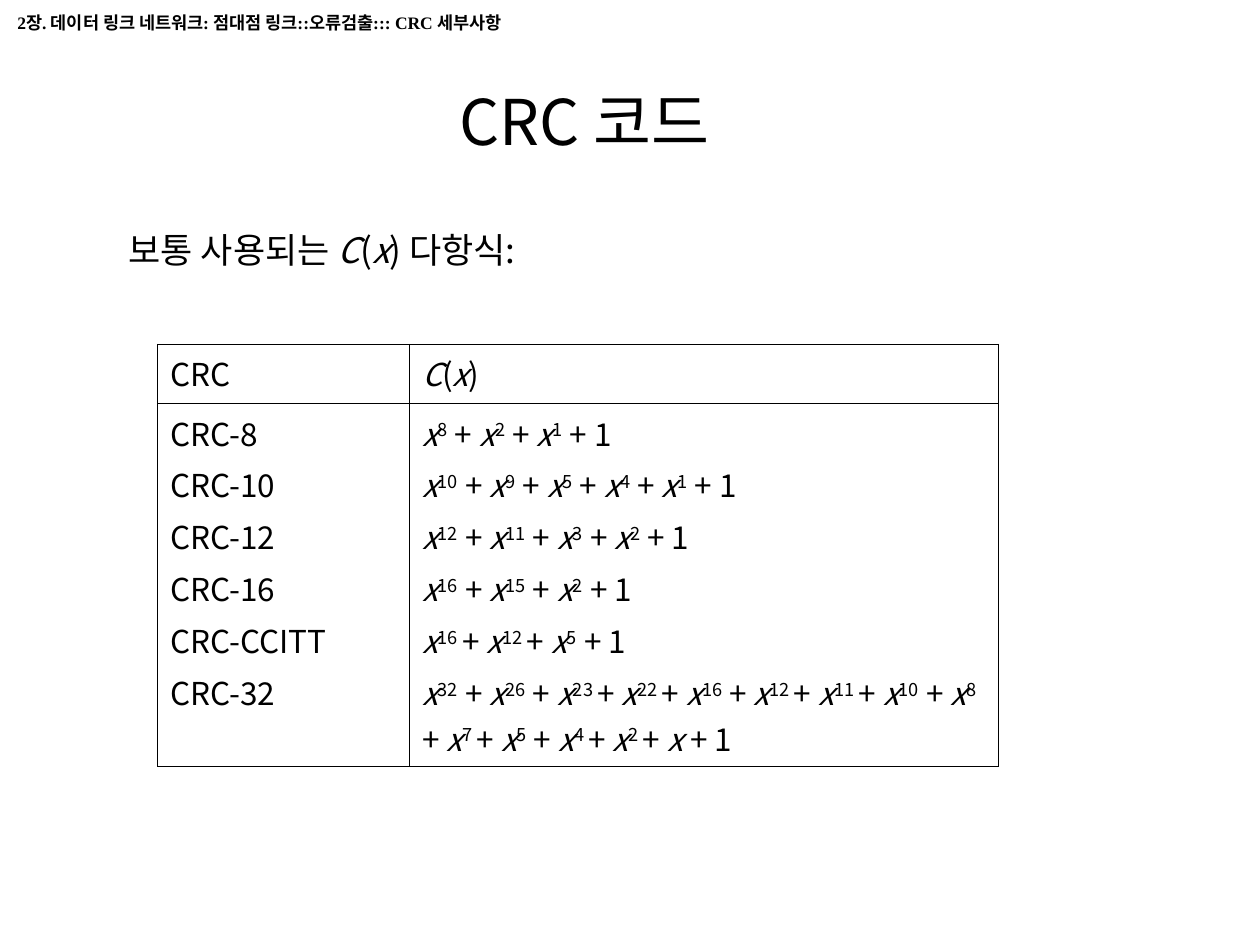
from itertools import groupby

from lxml.etree import SubElement
from pptx import Presentation
from pptx.dml.color import RGBColor
from pptx.enum.text import MSO_ANCHOR as Anchor, MSO_AUTO_SIZE as AutoSize, PP_ALIGN as Align
from pptx.oxml.ns import qn
from pptx.util import Inches, Pt

BLACK = RGBColor(0, 0, 0)
SANS = "Noto Sans CJK KR"
SERIF = "Times New Roman"
THIN, MEDIUM = Pt(0.25), Pt(1)

TITLE_FORMAT = {"size": Pt(36), "name": SANS, "bold": False}
BODY_FORMAT = {"size": Pt(20), "name": SANS}
CELL_FORMAT = {"size": Pt(18), "name": SANS, "bold": False}
HEADER_FORMAT = {"size": Pt(10), "name": SERIF, "bold": True}

# Text between a pair of ^ marks is superscript
POLYNOMIALS = {
    "CRC-8": "x^8^ + x^2^ + x^1^ + 1",
    "CRC-10": "x^10^ + x^9^ + x^5^ + x^4^ + x^1^ + 1",
    "CRC-12": "x^12^ + x^11^ + x^3^ + x^2^ + 1",
    "CRC-16": "x^16^ + x^15^ + x^2^ + 1",
    "CRC-CCITT": "x^16 ^+ x^12 ^+ x^5^ + 1",
    "CRC-32": "x^32^ + x^26^ + x^23 ^+ x^22 ^+ x^16^ + x^12 ^+ x^11 ^+ x^10^ + x^8 ^"
              "+ x^7 ^+ x^5^ + x^4 ^+ x^2 ^+ x + 1",
}


def place(shape, box):
    shape.left, shape.top, shape.width, shape.height = (Inches(n) for n in box)


def add_run(paragraph, text, formats):
    run = paragraph.add_run()
    run.text = text
    run.font.color.rgb = BLACK
    for name, value in formats.items():
        setattr(run.font, name, value)
    if formats["name"] == SANS:
        SubElement(run.font._element, qn("a:ea"), typeface=SANS)
    return run


def add_math(paragraph, text, formats):
    """Set the symbols C and x in italics and raise the exponents."""
    for index, part in enumerate(text.split("^")):
        for italic, symbols in groupby(part, lambda symbol: symbol in "Cx"):
            run = add_run(paragraph, "".join(symbols), {**formats, "italic": italic})
            if index % 2:
                run.font._element.set("baseline", "30000")


def fill_cell(cell, lines, writer):
    frame = cell.text_frame
    for index, line in enumerate(lines):
        paragraph = frame.add_paragraph() if index else frame.paragraphs[0]
        if index:
            paragraph.space_before = Pt(3.6)
        writer(paragraph, line, CELL_FORMAT)


def set_borders(cell, widths):
    properties = cell._tc.get_or_add_tcPr()
    for position, (side, width) in enumerate(widths.items()):
        line = SubElement(properties, qn(f"a:ln{side}"), w=str(width))
        fill = SubElement(line, qn("a:solidFill"))
        SubElement(fill, qn("a:srgbClr"), val=str(BLACK))
        properties.insert(position, line)


def build_title(slide, box):
    title = slide.shapes.title
    place(title, box)
    title.text_frame.vertical_anchor = Anchor.MIDDLE
    paragraph = title.text_frame.paragraphs[0]
    paragraph.alignment = Align.CENTER
    add_run(paragraph, "CRC 코드", TITLE_FORMAT)


def build_body(slide, box):
    body = slide.placeholders[1]
    place(body, box)
    frame = body.text_frame
    frame.auto_size = AutoSize.NONE
    frame.margin_top = Inches(0.4)
    paragraph = frame.paragraphs[0]
    paragraph.level = 1
    paragraph.space_before = Pt(0)
    properties = paragraph._p.get_or_add_pPr()
    properties.set("marL", str(Inches(0.81)))
    properties.set("indent", str(Inches(-0.31)))
    SubElement(properties, qn("a:buNone"))
    add_math(paragraph, "보통 사용되는 C(x) 다항식:", BODY_FORMAT)


def build_table(slide, box):
    table = slide.shapes.add_table(2, 2, *(Inches(n) for n in box)).table
    table.first_row = table.horz_banding = False
    for column, width in zip(table.columns, (2, 4.67)):
        column.width = Inches(width)
    for row, height in zip(table.rows, (0.47, 2.88)):
        row.height = Inches(height)

    # Names on the left, polynomials on the right
    columns = ((["CRC"], POLYNOMIALS, add_run),
               (["C(x)"], POLYNOMIALS.values(), add_math))
    for column, (heading, lines, writer) in enumerate(columns):
        for row, content in enumerate((heading, lines)):
            cell = table.cell(row, column)
            cell.fill.background()
            fill_cell(cell, content, writer)
            set_borders(cell, {"L": MEDIUM if column else THIN,
                               "R": THIN if column else MEDIUM,
                               "T": THIN, "B": THIN})


def build_header(slide, box):
    header = slide.shapes.add_textbox(*(Inches(n) for n in box))
    header.text_frame.word_wrap = True
    header.text_frame.auto_size = AutoSize.SHAPE_TO_FIT_TEXT
    add_run(header.text_frame.paragraphs[0],
            "2장. 데이터 링크 네트워크: 점대점 링크::오류검출::: CRC 세부사항", HEADER_FORMAT)


def main():
    presentation = Presentation()
    presentation.slide_width, presentation.slide_height = Inches(10), Inches(7.5)
    slide = presentation.slides.add_slide(presentation.slide_layouts[1])
    build_title(slide, (0.39, 0.58, 8.5, 0.75))
    build_body(slide, (0.42, 1.41, 9.17, 5.76))
    build_table(slide, (1.25, 2.73, 6.67, 3.35))
    build_header(slide, (0.04, 0.05, 4.42, 0.27))
    presentation.save("out.pptx")


if __name__ == "__main__":
    main()
